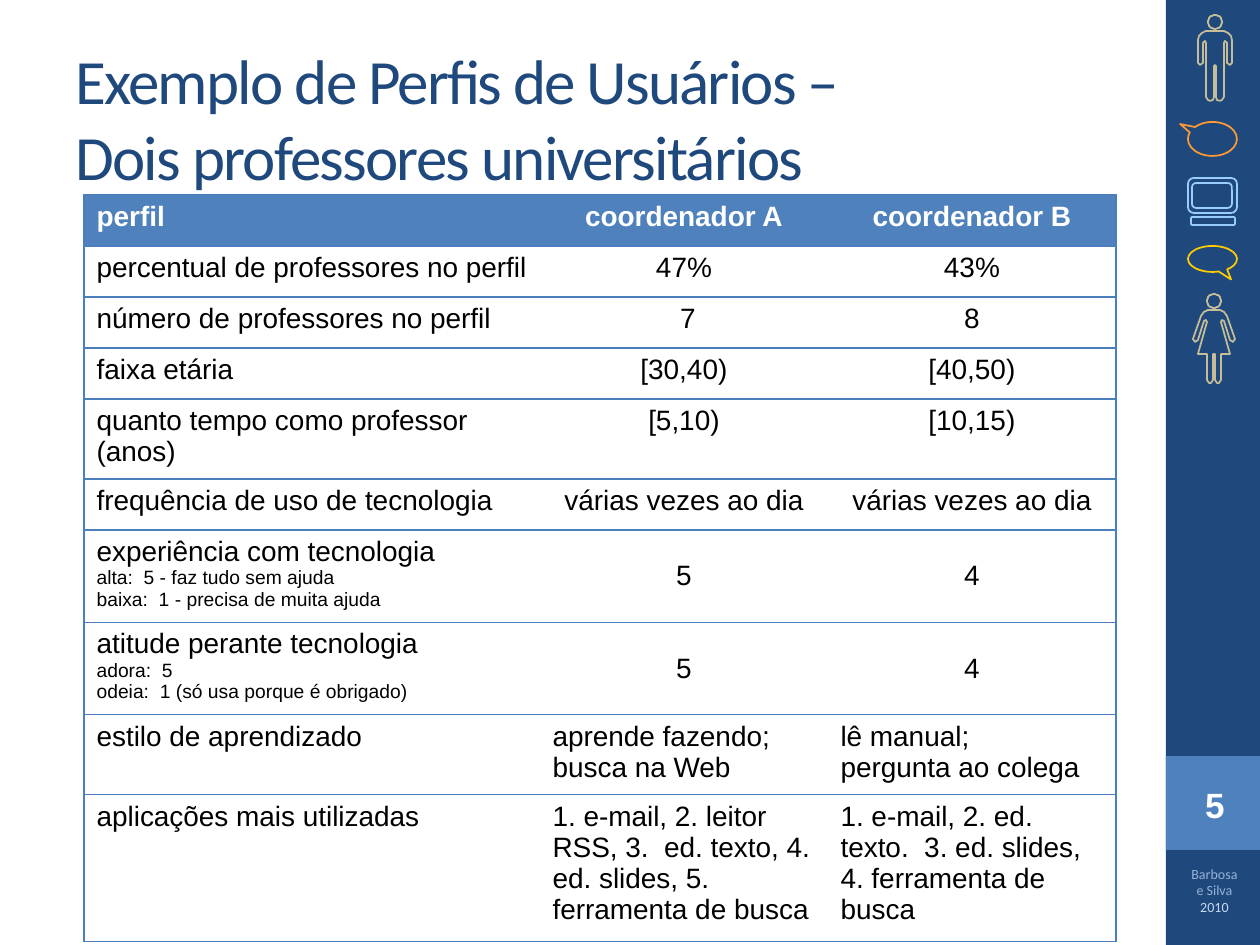
from math import cos, pi, sin

from lxml.etree import SubElement
from pptx import Presentation
from pptx.dml.color import RGBColor
from pptx.enum.shapes import MSO_SHAPE
from pptx.enum.text import MSO_ANCHOR, PP_ALIGN
from pptx.oxml import parse_xml
from pptx.oxml.ns import nsdecls, qn
from pptx.util import Pt

SCALE = 914400 / 126
NAVY = RGBColor(0x1F, 0x49, 0x7D)
BLUE = RGBColor(0x4F, 0x81, 0xBD)
EDGE = RGBColor(0x4B, 0x7E, 0xBC)
SAND = RGBColor(0xC4, 0xBD, 0x97)
ORANGE = RGBColor(0xFF, 0x99, 0x33)
SKY = RGBColor(0x99, 0xCC, 0xFF)
GOLD = RGBColor(0xFF, 0xCC, 0x00)
MIST = RGBColor(0x95, 0xB3, 0xD7)
PALE = RGBColor(0xC6, 0xD9, 0xF1)
WHITE = RGBColor(0xFF, 0xFF, 0xFF)
BLACK = RGBColor(0, 0, 0)
LEFT, MID = PP_ALIGN.LEFT, PP_ALIGN.CENTER


def emu(px):
    """Turn pixels into EMU."""
    return round(px * SCALE)


class Deck:
    """Holds the style and the current slide."""

    def __init__(self):
        """Open a deck with one blank slide."""
        self.prs = Presentation()
        self.prs.slide_width, self.prs.slide_height = emu(1260), emu(945)
        self.slide = self.prs.slides.add_slide(self.prs.slide_layouts[6])
        self.shapes = self.slide.shapes

    def paint(self, shape, fill=None, line=None):
        """Set the fill and line of a shape."""
        shape.shadow.inherit = False
        for part, color in ((shape.fill, fill), (shape.line.fill, line)):
            if color is None:
                part.background()
            else:
                part.solid()
                part.fore_color.rgb = color
        if line is not None:
            shape.line.width = Pt(1)

    def shape(self, kind, box, fill=None, line=None, adjust=()):
        """Add a preset shape."""
        item = self.shapes.add_shape(kind, *map(emu, box))
        for i, value in enumerate(adjust):
            item.adjustments[i] = value
        self.paint(item, fill, line)

    def figure(self, mid, top, half):
        """Add a person: a round head and a body mirrored about mid."""
        head = [(mid + 7 * cos(i * pi / 16), top + 7 + 7 * sin(i * pi / 16))
                for i in range(32)]
        body = [(mid + x, top + y) for x, y in half]
        body += [(mid - x, top + y) for x, y in reversed(half)]
        pen = self.shapes.build_freeform(*head[0], scale=SCALE)
        pen.add_line_segments(head[1:], close=True)
        pen.move_to(*body[0])
        pen.add_line_segments(body[1:], close=True)
        self.paint(pen.convert_to_shape(), line=SAND)

    def run(self, para, text, size, color, font="Arial", bold=False):
        """Add one run."""
        run = para.add_run()
        run.text = text
        run.font.size, run.font.name = Pt(size), font
        run.font.bold, run.font.color.rgb = bold, color
        return run

    def text(self, box, align, anchor=MSO_ANCHOR.TOP):
        """Add a text box and return its paragraph."""
        frame = self.shapes.add_textbox(*map(emu, box)).text_frame
        frame.word_wrap, frame.vertical_anchor = True, anchor
        frame.paragraphs[0].alignment = align
        return frame.paragraphs[0]

    def cell(self, cell, lines, align, anchor, head, sides):
        """Fill one table cell and draw its borders."""
        frame = cell.text_frame
        for i, line in enumerate(lines):
            para = frame.add_paragraph() if i else frame.paragraphs[0]
            para.alignment = align
            small = i and len(lines) == 3
            self.run(para, line, 11 if small else 16,
                     WHITE if head else BLACK, bold=head)
        cell.vertical_anchor = anchor
        props = cell._tc.get_or_add_tcPr()
        for side in ("L", "R", "T", "B"):
            if side in sides:
                props.append(parse_xml(
                    f'<a:ln{side} {nsdecls("a")} w="12700"><a:solidFill>'
                    f'<a:srgbClr val="{EDGE}"/></a:solidFill></a:ln{side}>'))
            else:
                edge = SubElement(props, qn(f"a:ln{side}"), w="0")
                SubElement(edge, qn("a:noFill"))
        if head:
            cell.fill.solid()
            cell.fill.fore_color.rgb = BLUE
        else:
            cell.fill.background()

    def table(self, box, cols, rows, data):
        """Add the table of profiles."""
        grid = self.shapes.add_table(
            len(data), len(cols), *map(emu, box)).table
        for col, wide in zip(grid.columns, cols):
            col.width = emu(wide)
        for row, high in zip(grid.rows, rows):
            row.height = emu(high)
        last = len(cols) - 1
        for r, line in enumerate(data):
            scale = len(line[0].split("\n")) == 3
            for c, words in enumerate(line):
                align = MID if c and r < 8 else LEFT
                anchor = MSO_ANCHOR.MIDDLE if c and scale else MSO_ANCHOR.TOP
                sides = "TB" + ("L" if c == 0 else "R" if c == last else "")
                self.cell(grid.cell(r, c), words.split("\n"), align, anchor,
                          r == 0, sides)


MAN = [(0, 16), (9, 16), (13, 18), (16, 21), (17, 25), (17, 48), (15, 50),
       (12, 48), (12, 28), (10, 26), (9, 28), (9, 82), (7, 85), (5, 86),
       (2, 85), (1, 82), (1, 51), (0, 50)]
WOMAN = [(0, 16), (6, 16), (10, 18), (13, 22), (14, 25), (21, 45), (19, 48),
         (16, 46), (10, 27), (8, 26), (7, 28), (16, 60), (7, 60), (7, 86),
         (5, 89), (3, 89), (1, 86), (1, 60), (0, 60)]
DATA = [
    ("perfil", "coordenador A", "coordenador B"),
    ("percentual de professores no perfil", "47%", "43%"),
    ("número de professores no perfil", " 7", "8"),
    ("faixa etária", "[30,40)", "[40,50)"),
    ("quanto tempo como professor (anos)", "[5,10)", "[10,15)"),
    ("frequência de uso de tecnologia", "várias vezes ao dia",
     "várias vezes ao dia"),
    ("experiência com tecnologia\nalta:  5 - faz tudo sem ajuda\n"
     "baixa:  1 - precisa de muita ajuda", "5", "4"),
    ("atitude perante tecnologia\nadora:  5\n"
     "odeia:  1 (só usa porque é obrigado)", "5", "4"),
    ("estilo de aprendizado", "aprende fazendo; busca na Web",
     "lê manual; \npergunta ao colega"),
    ("aplicações mais utilizadas",
     "1. e-mail, 2. leitor RSS, 3.  ed. texto, 4. ed. slides, "
     "5. ferramenta de busca",
     "1. e-mail, 2. ed. texto.  3. ed. slides, 4. ferramenta de busca"),
]

deck = Deck()
deck.shape(MSO_SHAPE.RECTANGLE, (1166, 0, 94, 945), NAVY)
deck.shape(MSO_SHAPE.RECTANGLE, (1166, 756, 94, 94), BLUE)
deck.figure(1214, 294, WOMAN)
deck.figure(1215, 15, MAN)
deck.shape(MSO_SHAPE.OVAL_CALLOUT, (1188, 122, 49, 34), line=ORANGE,
           adjust=(-0.66, -0.44))
for box in ((1188, 178, 49, 35), (1192, 183, 40, 25), (1191, 217, 44, 8)):
    deck.shape(MSO_SHAPE.ROUNDED_RECTANGLE, box, line=SKY)
deck.shape(MSO_SHAPE.OVAL_CALLOUT, (1188, 246, 49, 26), line=GOLD,
           adjust=(0.38, 0.79))

page = deck.text((1173, 777, 84, 54), MID)
deck.run(page, "5", 20, WHITE, bold=True)
credit = deck.text((1176, 859, 77, 69), MID)
credit.space_before = Pt(2)
deck.run(credit, "Barbosa e Silva ", 8, MIST, "Calibri")
deck.run(credit, "2010", 8, PALE, "Calibri")

title = deck.text((63, 38, 1050, 158), LEFT, MSO_ANCHOR.MIDDLE)
for i, words in enumerate(("Exemplo de Perfis de Usuários – ",
                           "Dois professores universitários")):
    if i:
        title.add_line_break()
    run = deck.run(title, words, 36, NAVY, "Calibri")
    run.font._element.set("spc", "-100")

deck.table((84, 195, 1032, 715), (456, 288, 288),
           (51, 51, 51, 51, 75, 51, 87, 87, 74, 137), DATA)
deck.prs.save("out.pptx")
